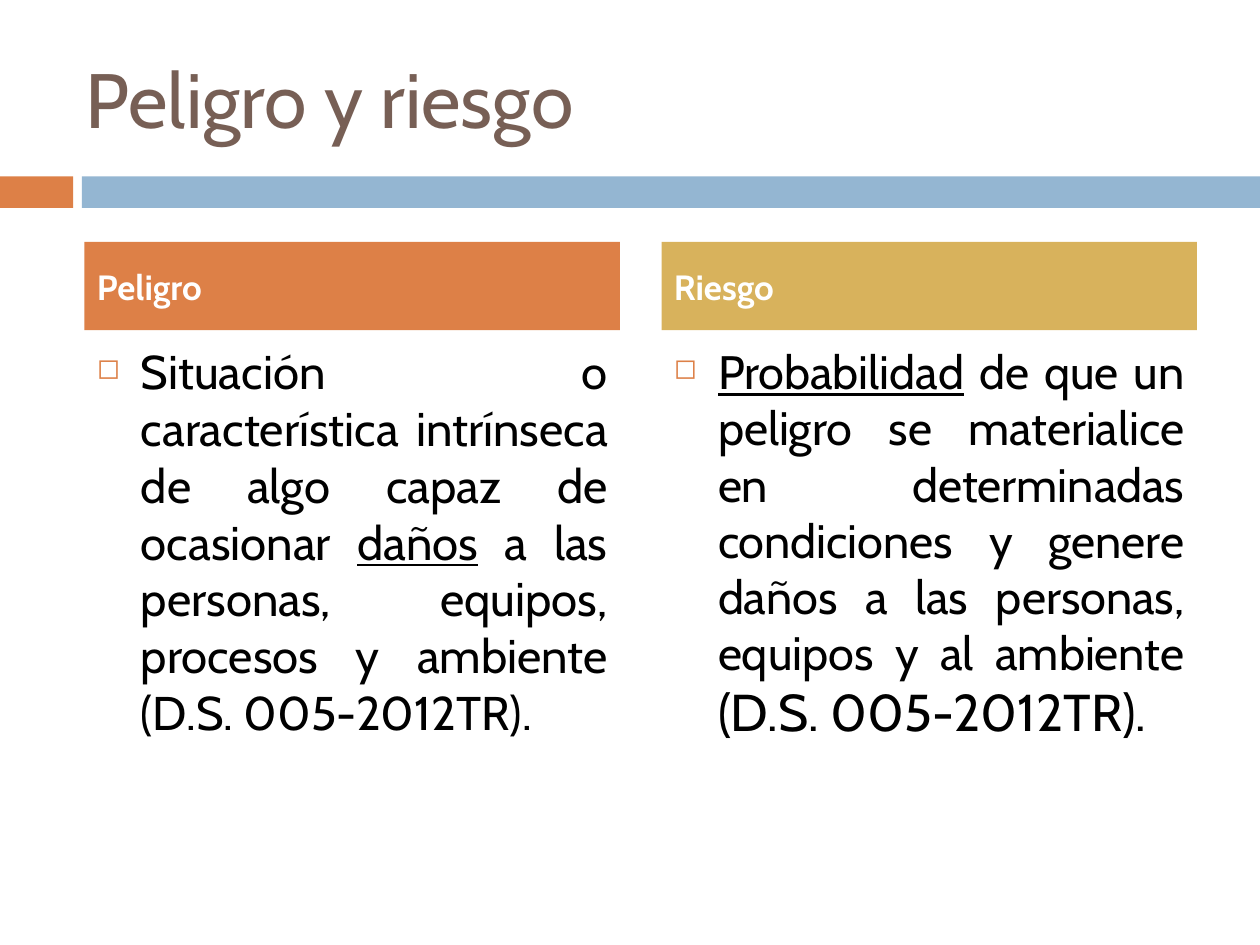
from dataclasses import dataclass

from lxml import etree
from pptx import Presentation
from pptx.dml.color import RGBColor
from pptx.enum.shapes import MSO_SHAPE
from pptx.enum.text import MSO_ANCHOR, PP_ALIGN
from pptx.oxml.ns import qn
from pptx.util import Inches, Pt

RECTANGLE = MSO_SHAPE.RECTANGLE
TOP, MIDDLE = MSO_ANCHOR.TOP, MSO_ANCHOR.MIDDLE
LEFT, JUSTIFY = PP_ALIGN.LEFT, PP_ALIGN.JUSTIFY


@dataclass(frozen=True)
class Theme:
    font: str = "Cabin"
    brown: str = "775F55"
    orange: str = "DD8047"
    blue: str = "94B6D2"
    gold: str = "D8B25C"
    black: str = "000000"
    white: str = "FFFFFF"
    title_size: float = 44
    heading_size: float = 20
    danger_size: float = 27
    risk_size: float = 26.8
    citation_size: float = 29.6


@dataclass(frozen=True)
class Phrase:
    text: str
    underline: bool = False
    size: float | None = None


class SlideBuilder:
    def __init__(self, slide, theme):
        self.slide = slide
        self.theme = theme

    def bar(self, left, top, width, height, color):
        bar = self.slide.shapes.add_shape(
            RECTANGLE, Inches(left), Inches(top), Inches(width), Inches(height))
        bar.shadow.inherit = False
        bar.fill.solid()
        bar.fill.fore_color.rgb = RGBColor.from_string(color)
        bar.line.fill.background()
        return bar

    def style_text(self, frame, size, color, anchor=MIDDLE, align=LEFT, bold=False):
        frame.word_wrap = True
        frame.vertical_anchor = anchor
        paragraph = frame.paragraphs[0]
        paragraph.alignment = align
        paragraph.font.name = self.theme.font
        paragraph.font.size = Pt(size)
        paragraph.font.bold = bold
        paragraph.font.color.rgb = RGBColor.from_string(color)

    def text_box(self, left, top, width, height):
        box = self.slide.shapes.add_textbox(
            Inches(left), Inches(top), Inches(width), Inches(height))
        return box.text_frame

    def title(self, text, left, top, width, height):
        frame = self.text_box(left, top, width, height)
        frame.text = text
        self.style_text(frame, self.theme.title_size, self.theme.brown)

    def heading(self, text, left, top, width, height, color):
        frame = self.bar(left, top, width, height, color).text_frame
        frame.text = text
        self.style_text(frame, self.theme.heading_size, self.theme.white, bold=True)

    def add_bullet(self, paragraph):
        """Give the paragraph a hanging indent and a small square marker."""
        properties = paragraph._p.get_or_add_pPr()
        properties.set("marL", str(Inches(0.35)))
        properties.set("indent", str(-Inches(0.35)))
        marker_color = etree.SubElement(properties, qn("a:buClr"))
        etree.SubElement(marker_color, qn("a:srgbClr"), val=self.theme.orange)
        etree.SubElement(properties, qn("a:buSzPct"), val="60000")
        etree.SubElement(properties, qn("a:buChar"), char="◻")

    def definition(self, phrases, left, top, width, height, size):
        frame = self.text_box(left, top, width, height)
        paragraph = frame.paragraphs[0]
        self.add_bullet(paragraph)
        self.style_text(frame, size, self.theme.black, TOP, JUSTIFY)
        for phrase in phrases:
            run = paragraph.add_run()
            run.text = phrase.text
            if phrase.underline:
                run.font.underline = True
            if phrase.size:
                run.font.size = Pt(phrase.size)


def main():
    theme = Theme()
    presentation = Presentation()
    presentation.slide_width = Inches(10)
    presentation.slide_height = Inches(7.5)
    slide = presentation.slides.add_slide(presentation.slide_layouts[6])
    builder = SlideBuilder(slide, theme)

    builder.bar(0, 1.4, 0.58, 0.25, theme.orange)
    builder.bar(0.65, 1.4, 9.35, 0.25, theme.blue)
    builder.title("Peligro y riesgo", 0.58, 0.3, 8.92, 0.95)

    danger = [
        Phrase("Situación o característica intrínseca de algo capaz de ocasionar "),
        Phrase("daños", underline=True),
        Phrase(" a las personas, equipos, procesos y ambiente (D.S. 005-2012TR)."),
    ]
    risk = [
        Phrase("Probabilidad", underline=True),
        Phrase(" de que un peligro se materialice en determinadas condiciones"
               " y genere daños a las personas, equipos y al ambiente "),
        Phrase("(D.S. 005-2012TR).", size=theme.citation_size),
    ]
    columns = [
        ("Peligro", theme.orange, danger, theme.danger_size),
        ("Riesgo", theme.gold, risk, theme.risk_size),
    ]
    column_width, column_pitch = 4.25, 4.58
    for index, (term, color, phrases, size) in enumerate(columns):
        left = 0.67 + index * column_pitch
        builder.heading(term, left, 1.92, column_width, 0.7, color)
        builder.definition(phrases, left, 2.67, column_width, 3.92, size)

    presentation.save("out.pptx")


if __name__ == "__main__":
    main()
